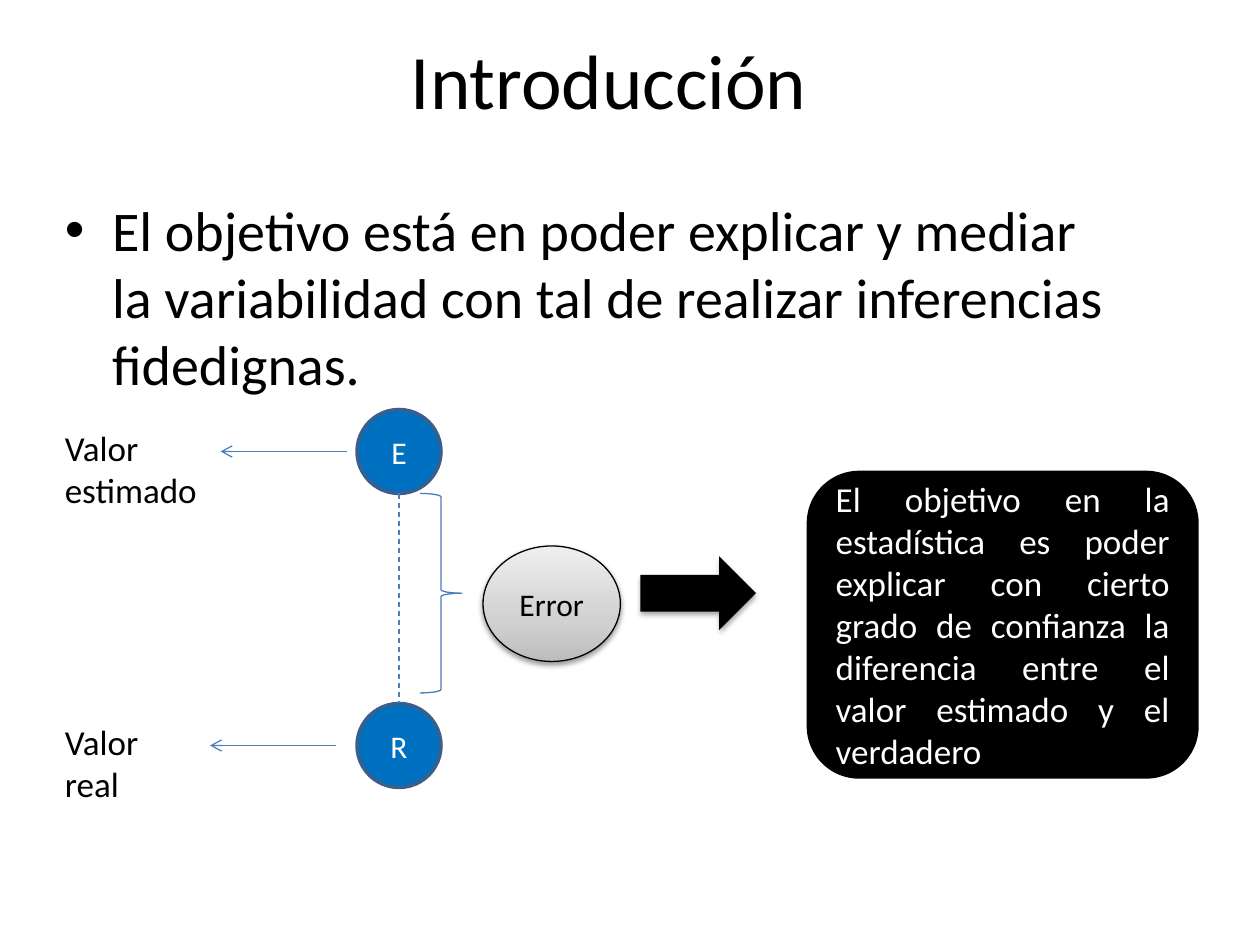
from copy import deepcopy
from dataclasses import dataclass
from typing import Optional

from lxml import etree
from pptx import Presentation
from pptx.dml.color import RGBColor
from pptx.enum import dml, shapes, text
from pptx.oxml import ns
from pptx.util import Pt

FONT = "Calibri"
BLACK, WHITE = "000000", "FFFFFF"
NODE_FILL, NODE_LINE, GUIDE = "0070C0", "3A5F8C", "4B7EBC"
ALIGN, SHAPE = text.PP_ALIGN, shapes.MSO_SHAPE


@dataclass(frozen=True)
class Box:
    left: float
    top: float
    width: float
    height: float

    def lengths(self) -> list:
        return [Pt(v) for v in (self.left, self.top, self.width, self.height)]


@dataclass(frozen=True)
class Value:
    """A point on the scale: its circle, pointer and caption."""
    letter: str
    caption: str
    circle_top: float
    pointer_start: float
    caption_box: Box


VALUES = [
    Value("E", "Valor estimado", 234, 198, Box(30, 240, 108, 55.4)),
    Value("R", "Valor real", 402, 192, Box(30, 408, 90, 31.7)),
]
CIRCLE_LEFT, CIRCLE_SIZE, POINTER_LENGTH = 204, 48, 72


def rgb(hex_color: str) -> RGBColor:
    return RGBColor.from_string(hex_color)


def add_child(parent, tag: str, **attributes):
    return etree.SubElement(parent, ns.qn(tag), attributes)


def write(frame, content: str, size: float, color: str = BLACK,
          align=ALIGN.LEFT, anchor=text.MSO_ANCHOR.TOP) -> None:
    frame.word_wrap = True
    frame.vertical_anchor = anchor
    frame.text = content
    paragraph = frame.paragraphs[0]
    paragraph.alignment = align
    font = paragraph.runs[0].font
    font.name, font.size = FONT, Pt(size)
    font.color.rgb = rgb(color)


def add_text(slide, box: Box, content: str, size: float, **layout):
    frame = slide.shapes.add_textbox(*box.lengths()).text_frame
    write(frame, content, size, **layout)
    return frame


def add_figure(slide, kind, box: Box, fill: Optional[str] = None,
               line: Optional[str] = None, line_width: float = 0.75):
    figure = slide.shapes.add_shape(kind, *box.lengths())
    figure.shadow.inherit = False
    if fill:
        figure.fill.solid()
        figure.fill.fore_color.rgb = rgb(fill)
    else:
        figure.fill.background()
    if line:
        figure.line.color.rgb = rgb(line)
        figure.line.width = Pt(line_width)
    else:
        figure.line.fill.background()
    return figure


def label(figure, content: str, size: float, color: str, align=ALIGN.CENTER) -> None:
    write(figure.text_frame, content, size, color, align, text.MSO_ANCHOR.MIDDLE)


def add_guide(slide, x1: float, y1: float, x2: float, y2: float,
              dashed: bool = False, arrow: bool = False) -> None:
    guide = slide.shapes.add_connector(
        shapes.MSO_CONNECTOR.STRAIGHT, Pt(x1), Pt(y1), Pt(x2), Pt(y2))
    guide.line.color.rgb = rgb(GUIDE)
    guide.line.width = Pt(0.75)
    if dashed:
        guide.line.dash_style = dml.MSO_LINE.DASH
    if arrow:
        add_child(guide.line._get_or_add_ln(), "a:tailEnd", type="arrow")
    add_child(guide._element.spPr, "a:effectLst")


def drop_shadow(figure, distance: float, opacity: int) -> None:
    effects = figure._element.spPr.find(ns.qn("a:effectLst"))
    shadow = add_child(effects, "a:outerShdw", blurRad=str(Pt(3.1)),
                       dist=str(Pt(distance)), dir="5400000", rotWithShape="0")
    color = add_child(shadow, "a:srgbClr", val=BLACK)
    add_child(color, "a:alpha", val=str(opacity * 1000))


def fill_gradient(figure, stops: list[tuple[float, str]], angle: float) -> None:
    figure.fill.gradient()
    figure.fill.gradient_angle = angle
    stop_list = figure._element.spPr.find(".//" + ns.qn("a:gsLst"))
    while len(stop_list) < len(stops):
        stop_list.append(deepcopy(stop_list[0]))
    for stop, (position, color) in zip(figure.fill.gradient_stops, stops):
        stop.position = position
        stop.color.rgb = rgb(color)


def add_bullet(paragraph, indent: float) -> None:
    properties = paragraph._p.get_or_add_pPr()
    properties.set("marL", str(Pt(indent)))
    properties.set("indent", str(-Pt(indent)))
    add_child(properties, "a:buFont", typeface="Arial")
    add_child(properties, "a:buChar", char="•")


def add_value(slide, value: Value) -> None:
    circle = add_figure(
        slide, SHAPE.OVAL,
        Box(CIRCLE_LEFT, value.circle_top, CIRCLE_SIZE, CIRCLE_SIZE),
        NODE_FILL, NODE_LINE, 2)
    label(circle, value.letter, 18, WHITE)
    middle = value.circle_top + CIRCLE_SIZE / 2
    add_guide(slide, value.pointer_start, middle,
              value.pointer_start - POINTER_LENGTH, middle, arrow=True)
    add_text(slide, value.caption_box, value.caption, 20)


def main() -> None:
    deck = Presentation()
    deck.slide_width, deck.slide_height = Pt(720), Pt(540)
    slide = deck.slides.add_slide(deck.slide_layouts[6])

    objective = add_text(
        slide, Box(30, 108, 612, 360),
        "El objetivo está en poder explicar y mediar la variabilidad "
        "con tal de realizar inferencias fidedignas.", 32)
    add_bullet(objective.paragraphs[0], 27)
    add_text(slide, Box(42, 0, 612, 90), "Introducción", 44,
             align=ALIGN.CENTER, anchor=text.MSO_ANCHOR.MIDDLE)

    for value in VALUES:
        add_value(slide, value)
    estimated, real = VALUES
    center = CIRCLE_LEFT + CIRCLE_SIZE / 2
    gap_top = estimated.circle_top + CIRCLE_SIZE
    add_guide(slide, center, gap_top, center, real.circle_top, dashed=True)
    add_figure(slide, SHAPE.RIGHT_BRACE, Box(240, gap_top, 24, 114), line=GUIDE)

    arrow = add_figure(slide, SHAPE.RIGHT_ARROW, Box(366, 318, 66, 42), BLACK)
    drop_shadow(arrow, 1.8, 35)

    conclusion = add_figure(slide, SHAPE.ROUNDED_RECTANGLE,
                            Box(462, 270, 222, 174), BLACK, BLACK, 2)
    label(conclusion,
          "El objetivo en la estadística es poder explicar con cierto grado "
          "de confianza la diferencia entre el valor estimado y el verdadero",
          20, WHITE, ALIGN.JUSTIFY)

    error = add_figure(slide, SHAPE.OVAL, Box(276, 312, 78.5, 66), line=BLACK)
    fill_gradient(error, [(0, "BDBDBD"), (0.35, "D1D1D1"), (1, "EEEEEE")], 90)
    drop_shadow(error, 1.6, 38)
    label(error, "Error", 18, BLACK)

    deck.save("out.pptx")


if __name__ == "__main__":
    main()
